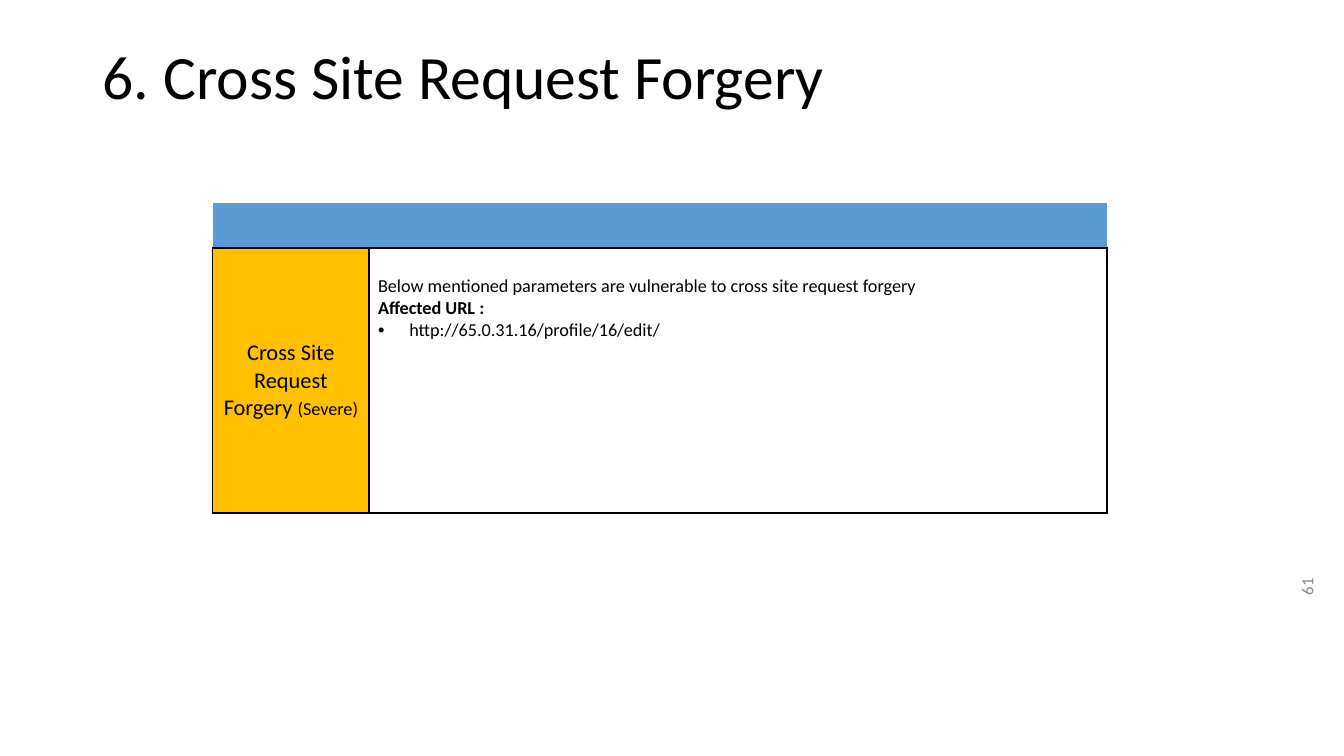
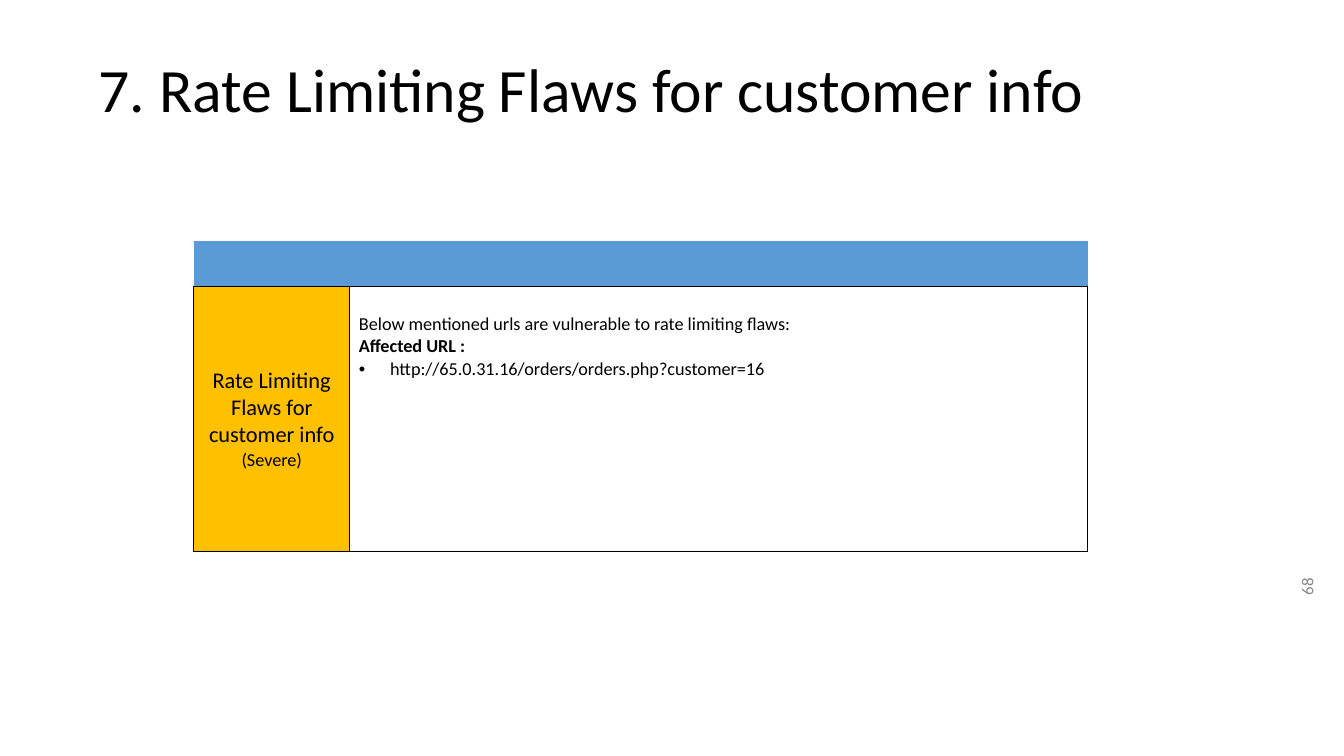
from lxml.etree import SubElement
from pptx import Presentation
from pptx.dml.color import RGBColor
from pptx.enum.text import MSO_ANCHOR, PP_ALIGN
from pptx.oxml.ns import qn
from pptx.util import Inches, Pt

FONT = "Calibri"
COLORS = {"text": "000000", "number": "888888", "header": "5B9BD5",
          "severity": "FFC000", "body": "FFFFFF", "border": "000000"}
SLIDE_WIDTH, SLIDE_HEIGHT = 13.33, 7.5
COLUMNS = (1.55, 7.32)
ROWS = (0.45, 2.63)
BODY_SIZE = 13
BULLET_INDENT = 0.31
FINDINGS = [
    {"title": "6. Cross Site Request Forgery", "title_at": (0.92, 0.4),
     "table_at": (2.11, 2.01), "number": "61",
     "name": "Cross Site Request Forgery ",
     "summary": "Below mentioned parameters are vulnerable to cross site request forgery",
     "url": "http://65.0.31.16/profile/16/edit/"},
    {"title": "7. Rate Limiting Flaws for customer info", "title_at": (0.88, 0.53),
     "table_at": (1.92, 2.39), "number": "68",
     "name": "Rate Limiting Flaws for customer info ",
     "summary": "Below mentioned urls are vulnerable to rate limiting flaws:",
     "url": "http://65.0.31.16/orders/orders.php?customer=16"},
]


def style_font(font, size, color="text", bold=False):
    """Apply the shared typeface with a size, colour and weight."""
    font.name, font.size, font.bold = FONT, Pt(size), bold
    font.color.rgb = RGBColor.from_string(COLORS[color])


def add_text(slide, box, text, size, color="text", align=PP_ALIGN.LEFT):
    """Add a vertically centred line of text in a box and return its shape."""
    shape = slide.shapes.add_textbox(*map(Inches, box))
    frame = shape.text_frame
    frame.word_wrap = True
    frame.vertical_anchor = MSO_ANCHOR.MIDDLE
    frame.text = text
    paragraph = frame.paragraphs[0]
    paragraph.alignment = align
    style_font(paragraph.runs[0].font, size, color)
    return shape


def add_title(slide, left, top, text):
    """Place the slide title."""
    shape = add_text(slide, (left, top, 11.5, 0.78), text, 44)
    shape.text_frame.paragraphs[0].line_spacing = 0.9


def add_slide_number(slide, number):
    """Place the number sideways at the right edge."""
    width, height = 1.44, 0.5
    center_x, center_y = SLIDE_WIDTH - 0.37, SLIDE_HEIGHT - 1.14
    box = (center_x - width / 2, center_y - height / 2, width, height)
    add_text(slide, box, number, 12, "number", PP_ALIGN.RIGHT).rotation = 270


def style_cell(cell, fill, edges):
    """Draw the named edges of a cell, hide the others and fill it."""
    properties = cell._tc.get_or_add_tcPr()
    for edge in "LRTB":
        line = SubElement(properties, qn(f"a:ln{edge}"), w=str(Pt(1)))
        if edge in edges:
            solid = SubElement(line, qn("a:solidFill"))
            SubElement(solid, qn("a:srgbClr"), val=COLORS["border"])
        else:
            SubElement(line, qn("a:noFill"))
    cell.fill.solid()
    cell.fill.fore_color.rgb = RGBColor.from_string(COLORS[fill])
    cell.margin_left = cell.margin_right = Inches(0.09)
    cell.margin_top = cell.margin_bottom = Inches(0.05)


def add_bullet(paragraph):
    """Give a paragraph a hanging round bullet."""
    properties = paragraph._p.get_or_add_pPr()
    properties.set("marL", str(Inches(BULLET_INDENT)))
    properties.set("indent", str(-Inches(BULLET_INDENT)))
    color = SubElement(properties, qn("a:buClr"))
    SubElement(color, qn("a:srgbClr"), val=COLORS["text"])
    SubElement(properties, qn("a:buFont"), typeface="Arial")
    SubElement(properties, qn("a:buChar"), char="•")


def fill_name_cell(cell, name):
    """Write the finding's name and its severity."""
    cell.vertical_anchor = MSO_ANCHOR.MIDDLE
    paragraph = cell.text_frame.paragraphs[0]
    paragraph.alignment = PP_ALIGN.CENTER
    for text, size in ((name, 16), ("(Severe)", BODY_SIZE)):
        run = paragraph.add_run()
        run.text = text
        style_font(run.font, size)


def fill_detail_cell(cell, summary, url):
    """Write the summary and the affected address."""
    cell.margin_top = Inches(0.27)
    frame = cell.text_frame
    frame.text = "\n".join((summary, "Affected URL :", url))
    add_bullet(frame.paragraphs[2])
    for index, paragraph in enumerate(frame.paragraphs):
        style_font(paragraph.runs[0].font, BODY_SIZE, bold=index == 1)


def add_finding_table(slide, left, top, finding):
    """Place the table that describes one finding."""
    box = (left, top, sum(COLUMNS), sum(ROWS))
    table = slide.shapes.add_table(len(ROWS), len(COLUMNS), *map(Inches, box)).table
    table.horz_banding = False
    for column, width in zip(table.columns, COLUMNS):
        column.width = Inches(width)
    for row, height in zip(table.rows, ROWS):
        row.height = Inches(height)
    for column, fill in enumerate(("severity", "body")):
        style_cell(table.cell(0, column), "header", "B")
        style_cell(table.cell(1, column), fill, "LRTB")
    fill_name_cell(table.cell(1, 0), finding["name"])
    fill_detail_cell(table.cell(1, 1), finding["summary"], finding["url"])


def add_finding_slide(presentation, finding):
    """Add a slide for one finding."""
    slide = presentation.slides.add_slide(presentation.slide_layouts[6])
    add_slide_number(slide, finding["number"])
    add_title(slide, *finding["title_at"], finding["title"])
    add_finding_table(slide, *finding["table_at"], finding)


def main():
    """Build and save the presentation."""
    presentation = Presentation()
    presentation.slide_width = Inches(SLIDE_WIDTH)
    presentation.slide_height = Inches(SLIDE_HEIGHT)
    for finding in FINDINGS:
        add_finding_slide(presentation, finding)
    presentation.save("out.pptx")


if __name__ == "__main__":
    main()
